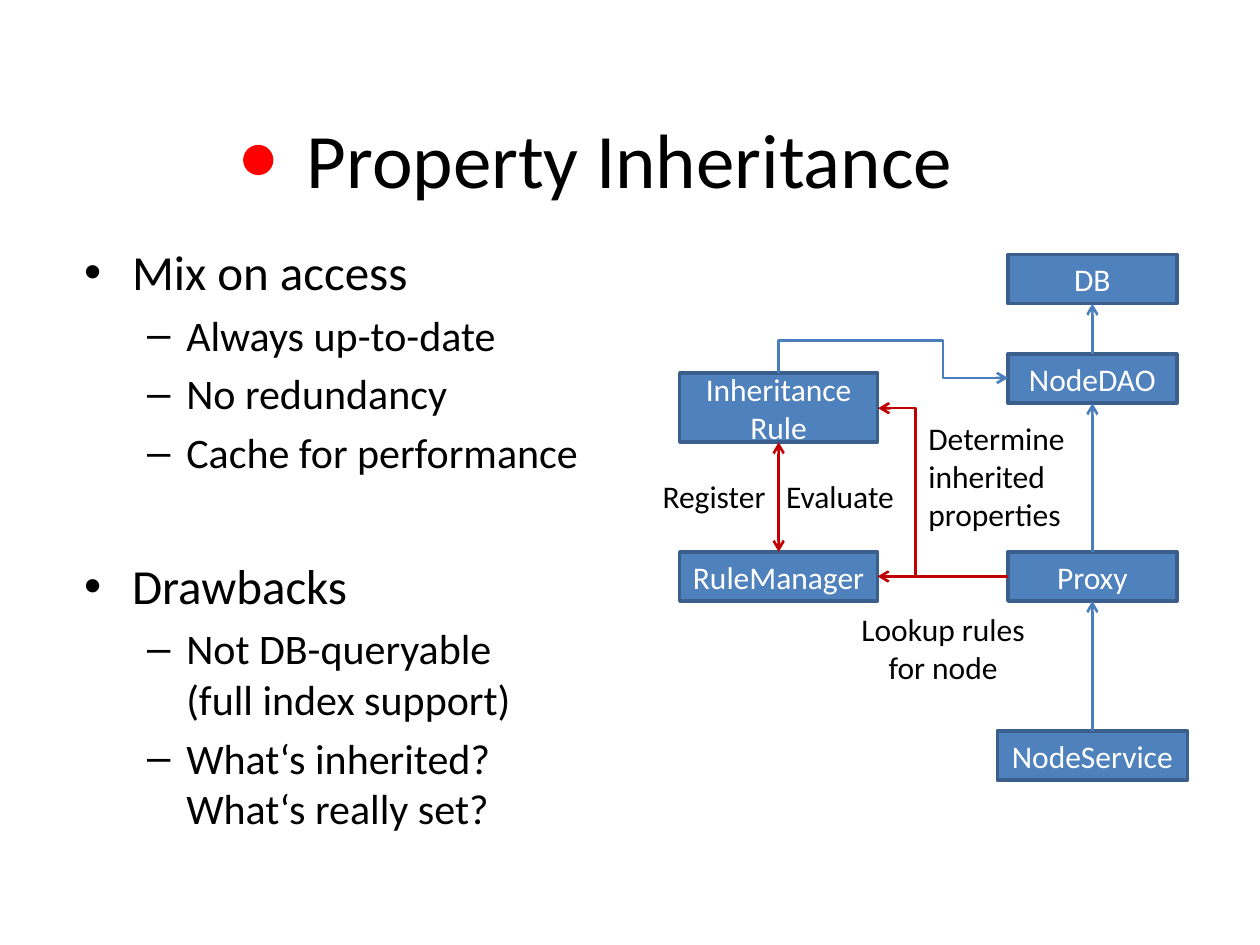
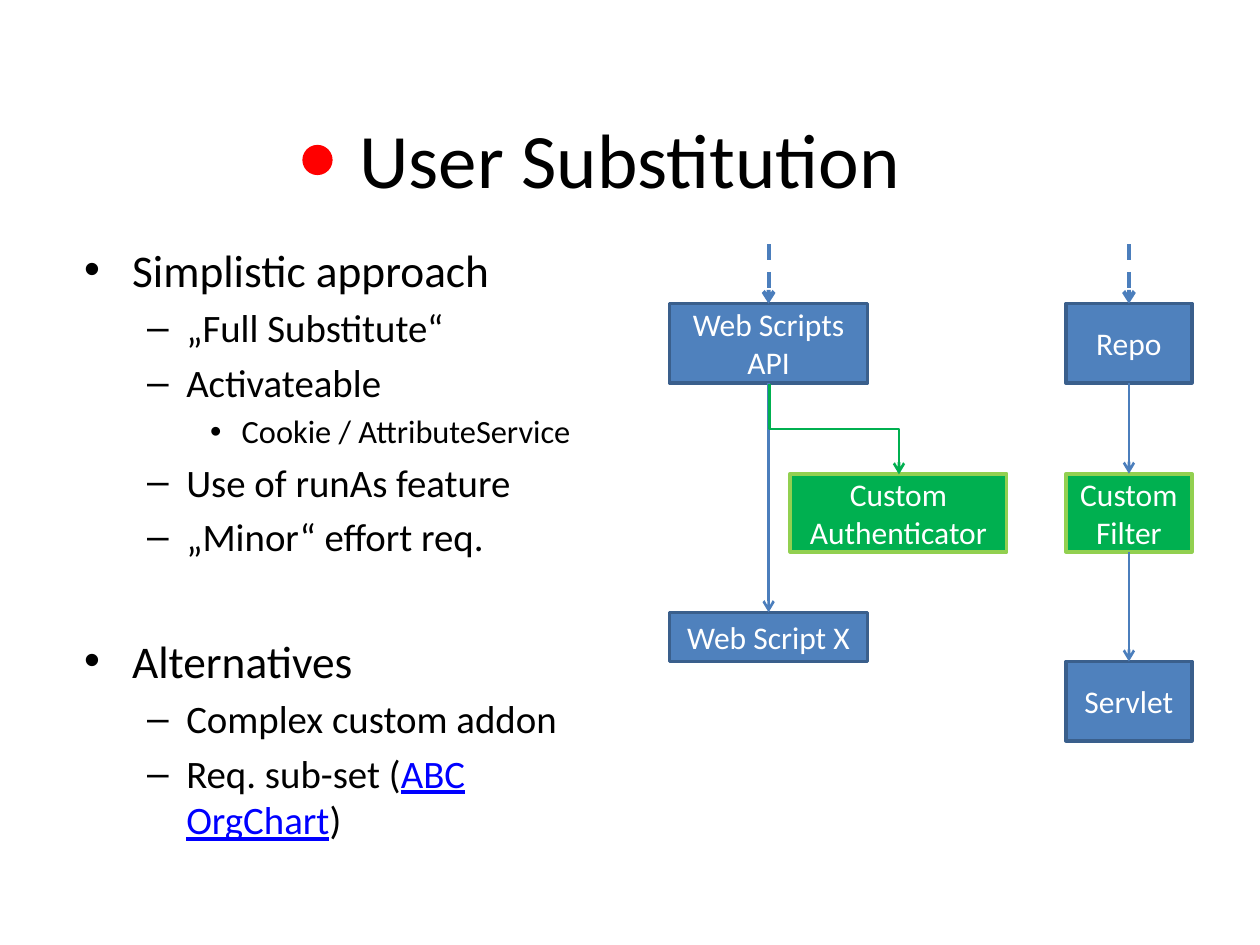
from lxml.etree import SubElement
from pptx import Presentation
from pptx.dml.color import RGBColor
from pptx.enum.dml import MSO_LINE
from pptx.enum.shapes import MSO_CONNECTOR, MSO_SHAPE
from pptx.enum.text import MSO_ANCHOR, PP_ALIGN
from pptx.oxml.ns import qn
from pptx.util import Inches, Pt

FONT = "Calibri"
BLACK = RGBColor(0x00, 0x00, 0x00)
WHITE = RGBColor(0xFF, 0xFF, 0xFF)
BLUE = RGBColor(0x4F, 0x81, 0xBD)
EDGE = RGBColor(0x3A, 0x5F, 0x8C)
WIRE = RGBColor(0x4B, 0x7E, 0xBC)
DARK_RED = RGBColor(0xC0, 0x00, 0x00)
RED = RGBColor(0xFF, 0x00, 0x00)
GREEN = RGBColor(0x00, 0xB0, 0x50)
LIME = RGBColor(0x92, 0xD0, 0x50)
LINK = RGBColor(0x00, 0x00, 0xFF)

LEVELS = [(0.38, -0.38, "•"), (0.81, -0.31, "–"), (1.25, -0.25, "•")]


def style(frame, size, color, align):
    for para in frame.paragraphs:
        para.alignment = align
        for run in para.runs:
            run.font.name = FONT
            run.font.size = Pt(size)
            run.font.color.rgb = color


def draw(slide, kind, ends, color, width=1.5, heads=("tailEnd",), dash=None):
    wire = slide.shapes.add_connector(kind, *[Inches(n) for n in ends])
    wire.line.color.rgb = color
    wire.line.width = Pt(width)
    if dash:
        wire.line.dash_style = dash
    props = wire.element.spPr
    for head in heads:
        SubElement(props.find(qn("a:ln")), qn("a:" + head), type="arrow")
    SubElement(props, qn("a:effectLst"))
    return wire


deck = Presentation()
deck.slide_width = Inches(10)
deck.slide_height = Inches(7.5)

pages = [
    ("Property Inheritance", 1.93, (28, 24, 20), 45, [
        (0, "Mix on access"),
        (1, "Always up-to-date"),
        (1, "No redundancy"),
        (1, "Cache for performance"),
        (0, "Drawbacks"),
        (1, "Not DB-queryable\v(full index support)"),
        (1, "What‘s inherited? What‘s really set?"),
    ]),
    ("User Substitution", 2.4, (25.9, 22.2, 18.5), 42, [
        (0, "Simplistic approach"),
        (1, "„Full Substitute“"),
        (1, "Activateable"),
        (2, "Cookie / AttributeService"),
        (1, "Use of runAs feature"),
        (1, "„Minor“ effort req."),
        (0, "Alternatives"),
        (1, "Complex custom addon"),
        (1, "Req. sub-set ("),
    ]),
]

for title, left, sizes, gap, items in pages:
    slide = deck.slides.add_slide(deck.slide_layouts[6])
    head = slide.shapes.add_textbox(Inches(0.5), Inches(0.78), Inches(9), Inches(0.94))
    head.text_frame.word_wrap = True
    head.text_frame.vertical_anchor = MSO_ANCHOR.MIDDLE
    head.text_frame.text = title
    style(head.text_frame, 44, BLACK, PP_ALIGN.CENTER)

    dot = slide.shapes.add_shape(
        MSO_SHAPE.OVAL, Inches(left), Inches(1.15), Inches(0.24), Inches(0.24))
    dot.shadow.inherit = False
    dot.fill.solid()
    dot.fill.fore_color.rgb = RED
    dot.line.fill.background()

    body = slide.shapes.add_textbox(Inches(0.57), Inches(1.87), Inches(4.42), Inches(4.66))
    body.text_frame.word_wrap = True
    body.text_frame.margin_right = Inches(0.3)
    for n, (level, text) in enumerate(items):
        para = body.text_frame.add_paragraph() if n else body.text_frame.paragraphs[0]
        para.text = text
        if text == "Req. sub-set (":
            for part in ("ABC OrgChart", ")"):
                para.add_run().text = part
        para.level = level
        para.space_before = Pt(gap if n and level == 0 else sizes[level] * 0.2)
        para.font.size = Pt(sizes[level])
        margin, indent, mark = LEVELS[level]
        props = para._p.get_or_add_pPr()
        props.set("marL", str(Inches(margin)))
        props.set("indent", str(Inches(indent)))
        bullet = [SubElement(props, qn("a:buFont"), typeface="Arial"),
                  SubElement(props, qn("a:buChar"), char=mark)]
        for n, tag in enumerate(bullet):
            props.insert(1 + n, tag)
        for run in para.runs:
            run.font.name = FONT
            run.font.size = Pt(sizes[level])
            run.font.color.rgb = BLACK

link = para.runs[1]
link.font.color.rgb = LINK
link.font.underline = True

first, second = deck.slides
boxes = {}
for slide, mid, top, width, height, text, fill, edge in [
    (first, 8.67, 2.02, 1.34, 0.39, "DB", BLUE, EDGE),
    (first, 8.67, 2.81, 1.34, 0.39, "NodeDAO", BLUE, EDGE),
    (first, 8.67, 4.38, 1.34, 0.39, "Proxy", BLUE, EDGE),
    (first, 8.67, 5.8, 1.51, 0.39, "NodeService", BLUE, EDGE),
    (first, 6.18, 4.38, 1.57, 0.39, "RuleManager", BLUE, EDGE),
    (first, 6.18, 2.96, 1.57, 0.55, "Inheritance\nRule", BLUE, EDGE),
    (second, 6.1, 2.41, 1.57, 0.63, "Web Scripts API", BLUE, EDGE),
    (second, 6.1, 4.86, 1.57, 0.39, "Web Script X", BLUE, EDGE),
    (second, 7.13, 3.76, 1.72, 0.62, "Custom Authenticator", GREEN, LIME),
    (second, 8.96, 2.41, 1, 0.63, "Repo", BLUE, EDGE),
    (second, 8.96, 3.76, 1, 0.62, "Custom Filter", GREEN, LIME),
    (second, 8.96, 5.25, 1, 0.63, "Servlet", BLUE, EDGE),
]:
    box = slide.shapes.add_shape(
        MSO_SHAPE.RECTANGLE, Inches(mid - width / 2), Inches(top),
        Inches(width), Inches(height))
    box.shadow.inherit = False
    box.fill.solid()
    box.fill.fore_color.rgb = fill
    box.line.color.rgb = edge
    box.line.width = Pt(2)
    box.text_frame.vertical_anchor = MSO_ANCHOR.MIDDLE
    box.text_frame.text = text
    style(box.text_frame, 18, WHITE, PP_ALIGN.CENTER)
    boxes[text] = box

both = ("headEnd", "tailEnd")
for slide, start, out, end, into, color, heads in [
    (first, "NodeService", 0, "Proxy", 2, WIRE, both[1:]),
    (first, "Proxy", 0, "NodeDAO", 2, WIRE, both[1:]),
    (first, "NodeDAO", 0, "DB", 2, WIRE, both[1:]),
    (first, "Proxy", 1, "RuleManager", 3, DARK_RED, both[1:]),
    (first, "RuleManager", 0, "Inheritance\nRule", 2, DARK_RED, both),
    (second, "Repo", 2, "Custom Filter", 0, WIRE, both[1:]),
    (second, "Custom Filter", 2, "Servlet", 0, WIRE, both[1:]),
    (second, "Web Scripts API", 2, "Web Script X", 0, WIRE, both[1:]),
]:
    wire = draw(slide, MSO_CONNECTOR.STRAIGHT, (0, 0, 1, 1), color, heads=heads)
    wire.begin_connect(boxes[start], out)
    wire.end_connect(boxes[end], into)

for mid, name in [(6.1, "Web Scripts API"), (8.96, "Repo")]:
    wire = draw(second, MSO_CONNECTOR.STRAIGHT, (mid, 1.94, mid, 2.41), WIRE, 2.25,
                dash=MSO_LINE.DASH)
    wire.end_connect(boxes[name], 0)

for slide, ends, color, turn, preset, bends in [
    (first, (8, 4.58, 6.97, 3.24), DARK_RED, 0, "bentConnector3", [71200]),
    (first, (7.11, 2.07, 7.07, 3.89), WIRE, 270, "bentConnector4", [-634900, 71700]),
    (second, (6.98, 2.89, 6.26, 3.92), GREEN, 270, "bentConnector3", [50000]),
]:
    wire = draw(slide, MSO_CONNECTOR.ELBOW, ends, color)
    props = wire.element.spPr
    if turn:
        props.find(qn("a:xfrm")).set("rot", str(turn * 60000))
    shape = props.find(qn("a:prstGeom"))
    shape.set("prst", preset)
    for n, bend in enumerate(bends, 1):
        SubElement(shape.find(qn("a:avLst")), qn("a:gd"), name=f"adj{n}", fmla=f"val {bend}")

for left, top, width, height, text, align in [
    (5.16, 3.74, 1.02, 0.4, "Register", PP_ALIGN.LEFT),
    (6.14, 3.74, 1.14, 0.4, "Evaluate", PP_ALIGN.LEFT),
    (6.73, 4.79, 1.51, 0.71, "Lookup rules\nfor node", PP_ALIGN.CENTER),
    (7.27, 3.28, 1.3, 1.01, "Determine\ninherited\nproperties", PP_ALIGN.LEFT),
]:
    label = first.shapes.add_textbox(Inches(left), Inches(top), Inches(width), Inches(height))
    label.text_frame.word_wrap = False
    label.text_frame.text = text
    style(label.text_frame, 18, BLACK, align)

deck.save("out.pptx")
